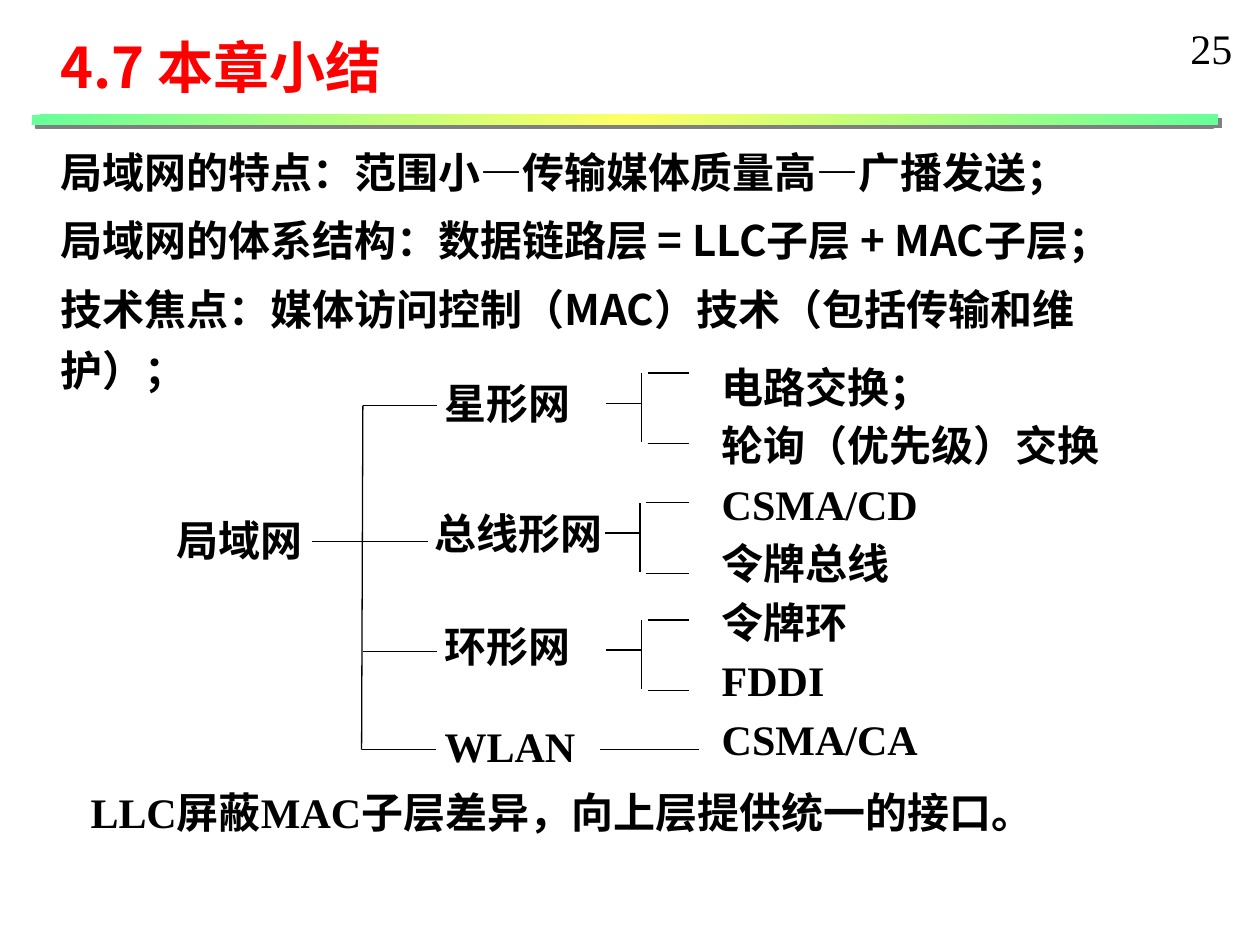
from dataclasses import dataclass

from lxml import etree
from pptx import Presentation
from pptx import util as u
from pptx.dml import color
from pptx.enum import shapes, text
from pptx.oxml import ns

COLS, ROWS = 100, 75
CELL = u.Inches(0.1)
SANS, SERIF = "Noto Sans CJK SC", "Times New Roman"
HUES = {"ink": "000000", "title": "FF0000", "edge": "66FF99", "core": "FFFF66", "shade": "808080"}
MAIN = ns.nsdecls("a")


@dataclass
class Run:
    words: str
    font: str = SANS


@dataclass
class Label:
    col: float
    row: float
    wide: float
    high: float
    paras: list[list[Run]]
    size: int = 24
    hue: str = "ink"
    bold: bool = True
    wrap: bool = False
    mid: bool = False
    gap: float = 0
    lead: float = 1


@dataclass
class Line:
    x1: float
    y1: float
    x2: float
    y2: float


def grid(*cells: float) -> list[int]:
    return [round(c * CELL) for c in cells]


def rgb(name: str) -> color.RGBColor:
    return color.RGBColor.from_string(HUES[name])


def add_run(para, run: Run, label: Label) -> None:
    r = para.add_run()
    r.text = run.words
    font = r.font
    font.name, font.size, font.bold = run.font, u.Pt(label.size), label.bold
    font.color.rgb = rgb(label.hue)
    if run.words != "—":
        font._element.find(ns.qn("a:latin")).addnext(
            etree.fromstring(f'<a:ea {MAIN} typeface="{SANS}"/>'))


def add_label(slide, label: Label) -> None:
    box = slide.shapes.add_textbox(*grid(label.col, label.row, label.wide, label.high))
    frame = box.text_frame
    frame.word_wrap = label.wrap
    if not label.wrap:
        frame.margin_right = 0
    frame.vertical_anchor = text.MSO_ANCHOR.MIDDLE if label.mid else text.MSO_ANCHOR.TOP
    for i, runs in enumerate(label.paras):
        para = frame.add_paragraph() if i else frame.paragraphs[0]
        para._p.get_or_add_pPr().set("hangingPunct", "0")
        para.line_spacing = label.lead
        if i:
            para.space_before = u.Pt(label.gap)
        for run in runs:
            add_run(para, run, label)


def add_line(slide, line: Line) -> None:
    wire = slide.shapes.add_connector(
        shapes.MSO_CONNECTOR.STRAIGHT, *grid(line.x1, line.y1, line.x2, line.y2))
    wire.line.width = u.Pt(0.75)
    wire.line.color.rgb = rgb("ink")
    etree.SubElement(wire._element.spPr, ns.qn("a:effectLst"))


def add_fork(slide, col: float, row: float) -> None:
    add_line(slide, Line(col, row, col, row + 5.5))
    add_line(slide, Line(col - 2.8, row + 2.4, col, row + 2.4))
    for y in (row, row + 5.6):
        add_line(slide, Line(col + 0.5, y, 54.7, y))


def add_bar(slide) -> None:
    bar = slide.shapes.add_shape(shapes.MSO_SHAPE.RECTANGLE, *grid(2.5, 9.1, 94.2, 0.8))
    bar.line.fill.background()
    stops = "".join(
        f'<a:gs pos="{pos * 1000}"><a:srgbClr val="{HUES[name]}"/></a:gs>'
        for pos, name in ((0, "edge"), (50, "core"), (100, "edge")))
    props = bar._element.spPr
    props.find(ns.qn("a:prstGeom")).addnext(etree.fromstring(
        f'<a:gradFill {MAIN} rotWithShape="1"><a:gsLst>{stops}</a:gsLst>'
        '<a:lin ang="2700000" scaled="1"/></a:gradFill>'))
    props.append(etree.fromstring(
        f'<a:effectLst {MAIN}><a:outerShdw dist="{u.Pt(2.8)}" dir="2700000" algn="ctr" '
        f'rotWithShape="0"><a:srgbClr val="{HUES["shade"]}"/></a:outerShdw></a:effectLst>'))


LABELS = [
    Label(3.8, 10.3, 91.9, 17, [
        [Run("局域网的特点：范围小"), Run("—", SERIF), Run("传输媒体质量高"),
         Run("—", SERIF), Run("广播发送；")],
        [Run("局域网的体系结构：数据链路层 = LLC子层 + MAC子层；")],
        [Run("技术焦点：媒体访问控制（MAC）技术（包括传输和维护）；")],
    ], wrap=True, gap=4.8, lead=1.2),
    Label(6.2, 61.9, 77.2, 5,
          [[Run("LLC屏蔽MAC子层差异，向上层提供统一的接口。", SERIF)]], wrap=True),
    Label(3.8, 2.1, 35.9, 6.3, [[Run("4.7 本章小结")]], size=32, hue="title", wrap=True),
    Label(93.5, 1.3, 5.4, 5, [[Run("25", SERIF)]], bold=False),
    Label(56.3, 28.1, 32.7, 33.1, [
        [Run("电路交换；")], [Run("轮询（优先级）交换")], [Run("CSMA/CD", SERIF)],
        [Run("令牌总线", SERIF)], [Run("令牌环", SERIF)],
        [Run("FDDI", SERIF)], [Run("CSMA/CA", SERIF)],
    ], mid=True, gap=4.8),
    Label(13, 40.3, 12.6, 5.1, [[Run("局域网")]], mid=True),
    Label(34.3, 29.6, 12.6, 4.7, [[Run("星形网")]], mid=True),
    Label(33.5, 39.9, 15, 4.7, [[Run("总线形网", SERIF)]], mid=True),
    Label(34.3, 49.3, 11.8, 3.9, [[Run("环形网", SERIF)]], mid=True),
    Label(34.3, 57.2, 11.8, 3.9, [[Run("WLAN", SERIF)]], mid=True),
]
LINES = [
    Line(28.8, 32.2, 28.7, 59.5),
    Line(28.8, 32.2, 34.7, 32.2),
    Line(24.8, 43, 34, 43),
    Line(28.8, 51.7, 34.7, 51.7),
    Line(28.7, 59.5, 34.6, 59.5),
    Line(47.6, 59.5, 55.5, 59.5),
]
FORKS = [(50.9, 29.6), (50.8, 39.9), (50.9, 49.2)]


def main() -> None:
    deck = Presentation()
    deck.slide_width, deck.slide_height = grid(COLS, ROWS)
    slide = deck.slides.add_slide(deck.slide_layouts[6])
    add_bar(slide)
    for label in LABELS:
        add_label(slide, label)
    for line in LINES:
        add_line(slide, line)
    for col, row in FORKS:
        add_fork(slide, col, row)
    deck.save("out.pptx")


if __name__ == "__main__":
    main()
